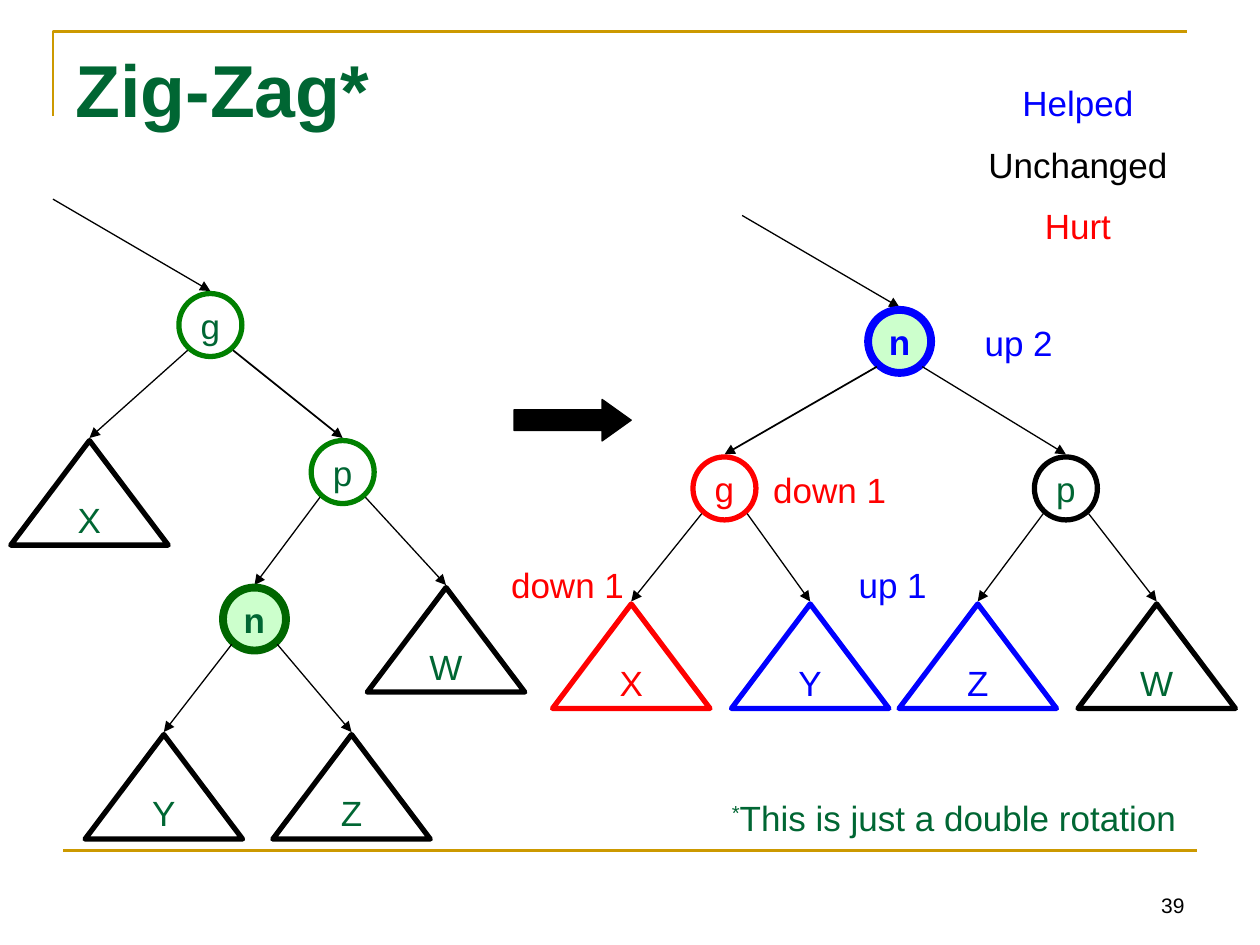
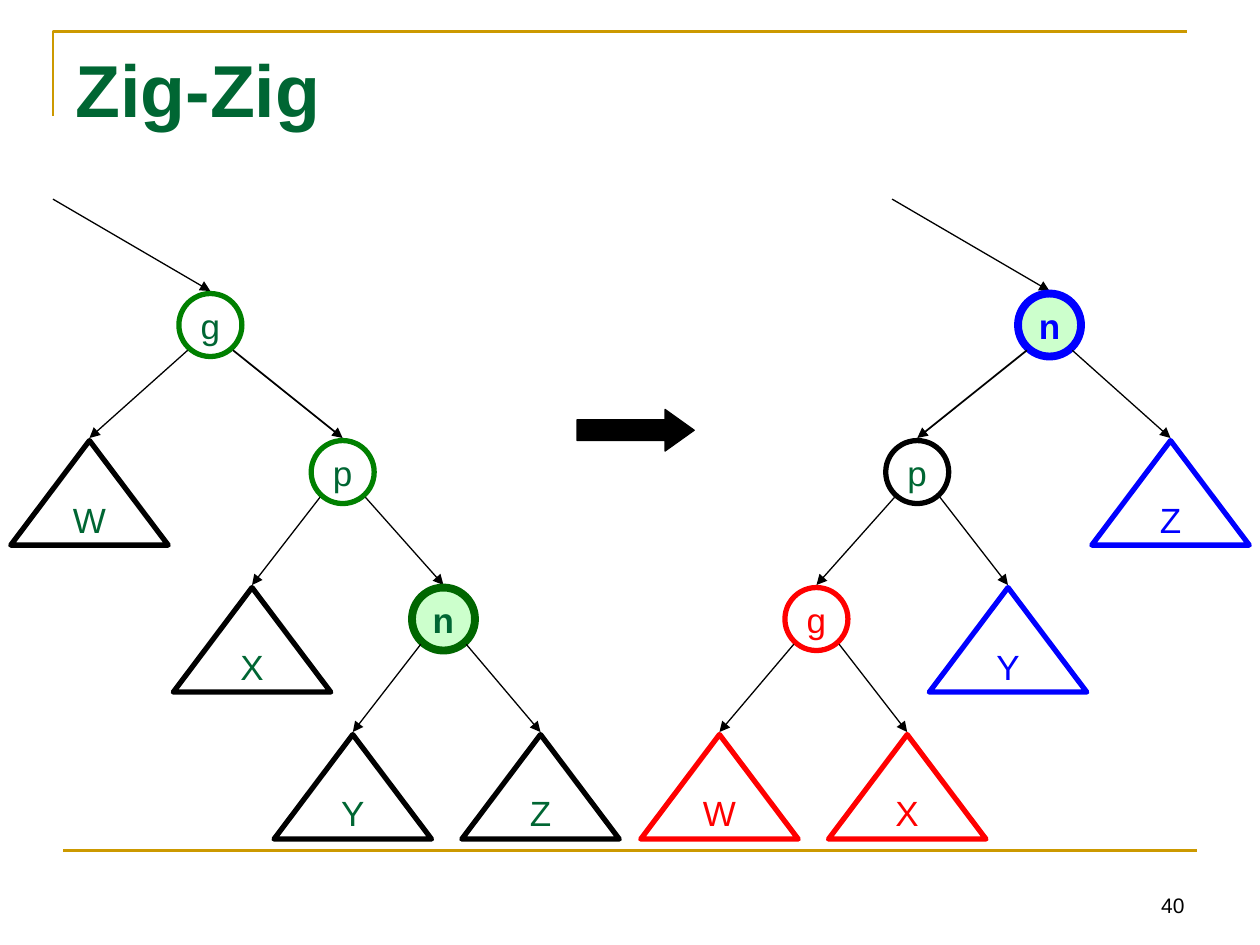
"""Build two slides on splay tree rotations, Zig-Zag and Zig-Zig."""
from lxml import etree
from pptx import Presentation
from pptx import util as u
from pptx.dml.color import RGBColor
from pptx.enum import shapes, text
from pptx.oxml import ns

HUE = {"gold": "CC9900", "text": "006633", "green": "008000", "deep": "006600",
       "mint": "CCFFCC", "black": "000000", "blue": "0000FF", "red": "FF0000"}
ALIGN = {"left": text.PP_ALIGN.LEFT, "mid": text.PP_ALIGN.CENTER, "right": text.PP_ALIGN.RIGHT}
STEP = 3.5 / 3
SIDE = 0.18


def write(frame, words, size=20, hue="text", bold=False, align="mid",
          anchor=text.MSO_ANCHOR.TOP, wrap=True, new=False, gap=0, base=0):
    frame.word_wrap = wrap
    frame.auto_size = text.MSO_AUTO_SIZE.NONE
    frame.vertical_anchor = anchor
    para = frame.add_paragraph() if new else frame.paragraphs[-1]
    para.alignment = ALIGN[align]
    para.space_before = u.Pt(gap)
    run = para.add_run()
    run.text = words
    run.font.name = "Arial"
    run.font.size = u.Pt(size)
    run.font.bold = bold
    run.font.color.rgb = RGBColor.from_string(HUE[hue])
    if base:
        run.font._element.set("baseline", str(base * 1000))


def link(slide, start, end, hue="black", width=0.75, head=True):
    line = slide.shapes.add_connector(shapes.MSO_CONNECTOR.STRAIGHT,
                                      *[u.Inches(v) for v in (*start, *end)])
    line.line.color.rgb = RGBColor.from_string(HUE[hue])
    line.line.width = u.Pt(width)
    props = line.element.spPr
    if head:
        etree.SubElement(props.find(ns.qn("a:ln")), ns.qn("a:tailEnd"), type="triangle")
    etree.SubElement(props, ns.qn("a:effectLst"))


# Each tree: top of the root, then (label, centre, line hue, parent); the second node has the heavier link.
pages = [
    {"title": "Zig-Zag*", "page": "39", "arrow": (4.08, 3.17), "trees": [
        (2.33, [("g", 1.67, "green", None), ("p", 2.72, "green", "g"),
                ("X", 0.71, "black", "g"), ("n", 2.02, "deep", "p"),
                ("W", 3.54, "black", "p"), ("Y", 1.3, "black", "n"),
                ("Z", 2.79, "black", "n")]),
        (2.46, [("n", 7.14, "blue", None), ("g", 5.75, "red", "n"),
                ("p", 8.46, "black", "n"), ("X", 5.01, "red", "g"),
                ("Y", 6.43, "blue", "g"), ("Z", 7.76, "blue", "p"),
                ("W", 9.18, "black", "p")])]},
    {"title": "Zig-Zig", "page": "40", "arrow": (4.58, 3.25), "trees": [
        (2.33, [("g", 1.67, "green", None), ("p", 2.72, "green", "g"),
                ("W", 0.71, "black", "g"), ("X", 2, "black", "p"),
                ("n", 3.52, "deep", "p"), ("Y", 2.8, "black", "n"),
                ("Z", 4.29, "black", "n")]),
        (2.33, [("n", 8.33, "blue", None), ("p", 7.28, "black", "n"),
                ("Z", 9.29, "blue", "n"), ("g", 6.48, "red", "p"),
                ("Y", 8, "blue", "p"), ("W", 5.71, "red", "g"),
                ("X", 7.2, "red", "g")])]},
]

deck = Presentation()
deck.slide_width, deck.slide_height = u.Inches(10), u.Inches(7.5)

for page in pages:
    slide = deck.slides.add_slide(deck.slide_layouts[5])

    pen = slide.shapes.build_freeform(u.Inches(0.42), u.Inches(0.92))
    pen.add_line_segments([(u.Inches(0.42), u.Inches(0.25)),
                           (u.Inches(9.42), u.Inches(0.25))], close=False)
    frame = pen.convert_to_shape()
    frame.shadow.inherit = False
    frame.fill.background()
    frame.line.color.rgb = RGBColor.from_string(HUE["gold"])
    frame.line.width = u.Pt(1.5)
    link(slide, (0.5, 6.75), (9.5, 6.75), hue="gold", width=1.5, head=False)

    title = slide.shapes.title
    title.left, title.top = u.Inches(0.5), u.Inches(0.3)
    title.width, title.height = u.Inches(9), u.Inches(1.25)
    write(title.text_frame, page["title"], size=42, bold=True, align="left")

    num = slide.shapes.add_textbox(*[u.Inches(v) for v in (7.17, 6.83, 2.33, 0.5)])
    write(num.text_frame, page["page"], size=12, hue="black", align="right",
          anchor=text.MSO_ANCHOR.BOTTOM)

    arrow = slide.shapes.add_shape(shapes.MSO_SHAPE.RIGHT_ARROW,
                                   *[u.Inches(v) for v in (*page["arrow"], 0.93, 0.33)])
    arrow.adjustments[1] = 0.7
    arrow.shadow.inherit = False
    arrow.fill.solid()
    arrow.fill.fore_color.rgb = RGBColor.from_string(HUE["black"])
    arrow.line.color.rgb = RGBColor.from_string(HUE["black"])
    arrow.line.width = u.Pt(0.75)

    for root, nodes in page["trees"]:
        spots = {}
        for rank, (label, mid, hue, parent) in enumerate(nodes):
            if parent:
                px, py = spots[parent]
                top = py + STEP
                start = (px + (SIDE if mid > px else -SIDE), py + 0.45)
            else:
                top = root
                start = (mid - 1.25, top - 0.75)
            spots[label] = (mid, top)
            link(slide, start, (mid, top - 0.02), width=1 if rank == 1 else 0.75)

            leaf, key = label in "WXYZ", label == "n"
            kind = shapes.MSO_SHAPE.ISOSCELES_TRIANGLE if leaf else shapes.MSO_SHAPE.OVAL
            wide, high = (1.25, 0.83) if leaf else (0.5, 0.5)
            node = slide.shapes.add_shape(
                kind, *[u.Inches(v) for v in (mid - wide / 2, top, wide, high)])
            node.shadow.inherit = False
            if key:
                node.fill.solid()
                node.fill.fore_color.rgb = RGBColor.from_string(HUE["mint"])
            else:
                node.fill.background()
            node.line.color.rgb = RGBColor.from_string(HUE[hue])
            node.line.width = u.Pt(4.5 if key else 3)
            write(node.text_frame, label, hue=hue if hue in ("blue", "red") else "text",
                  bold=key, anchor=text.MSO_ANCHOR.MIDDLE, wrap=False)

first = deck.slides[0]
note = first.shapes.add_textbox(*[u.Inches(v) for v in (5.71, 6.27, 3.77, 0.44)])
write(note.text_frame, "*", align="left", wrap=False, base=30)
write(note.text_frame, "This is just a double rotation", align="left", wrap=False)

legend = first.shapes.add_textbox(*[u.Inches(v) for v in (7.68, 0.6, 1.75, 1.45)])
for rank, (words, hue) in enumerate([("Helped", "blue"), ("Unchanged", "black"), ("Hurt", "red")]):
    write(legend.text_frame, words, hue=hue, new=rank > 0, gap=11 if rank else 0)

for words, hue, left, top in [("up 2", "blue", 7.5, 2.5), ("down 1", "red", 6, 3.67),
                              ("up 1", "blue", 6.5, 4.42), ("down 1", "red", 3.92, 4.42)]:
    move = first.shapes.add_textbox(*[u.Inches(v) for v in (left, top, 1.17, 0.44)])
    write(move.text_frame, words, hue=hue)

deck.save("out.pptx")
